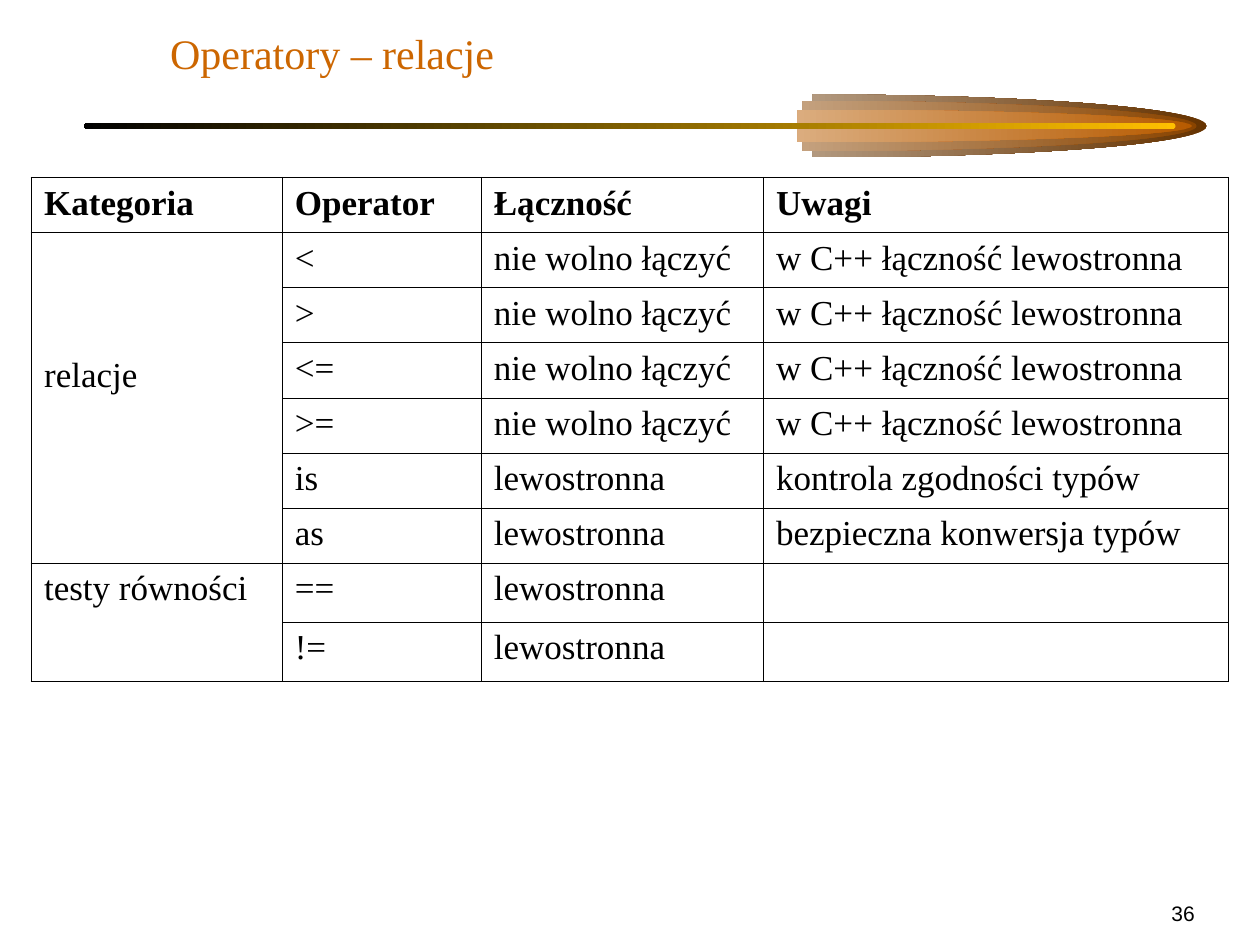
from lxml.etree import SubElement
from pptx import Presentation
from pptx.dml.color import RGBColor
from pptx.enum.shapes import MSO_SHAPE
from pptx.enum.text import MSO_ANCHOR, MSO_AUTO_SIZE, PP_ALIGN
from pptx.oxml.ns import qn
from pptx.util import Inches, Pt

COLORS = {
    "title": "CC6600",
    "text": "000000",
    "bar_start": "000000",
    "bar_end": "FFBF00",
    "comet_tail": "FFFFFF",
    "comet_outer": "663300",
    "comet_middle": "894400",
    "comet_inner": "B75B00",
}
# Comet layers: left, height, color at the tip
COMET_LAYERS = [
    (3.32, 0.50, "comet_outer"),
    (3.24, 0.40, "comet_middle"),
    (3.20, 0.26, "comet_inner"),
]
COMET_WIDTH = 6.26
AXIS_Y = 1.0
BAR_HEIGHT = 0.05

HEADER = ["Kategoria", "Operator", "Łączność", "Uwagi"]
NO_CHAINING = ("nie wolno łączyć", "w C++ łączność lewostronna")
LEFT = "lewostronna"
CATEGORIES = {
    "relacje": [
        *[(operator, *NO_CHAINING) for operator in ("<", ">", "<=", ">=")],
        ("is", LEFT, "kontrola zgodności typów"),
        ("as", LEFT, "bezpieczna konwersja typów"),
    ],
    "testy równości": [("==", LEFT, ""), ("!=", LEFT, "")],
}
COLUMN_WIDTHS = [1.99, 1.58, 2.24, 3.69]
ROW_HEIGHTS = [3.06 / 7] * 7 + [0.47] * 2


class SlideBuilder:
    serif = "Times New Roman"
    sans = "Arial"
    outer_border = Pt(1.08)
    inner_border = Pt(0.45)

    def __init__(self, slide):
        self.slide = slide

    def style(self, paragraph, size, font, color="text", bold=False):
        paragraph.font.size = Pt(size)
        paragraph.font.name = font
        paragraph.font.bold = bold
        paragraph.font.color.rgb = RGBColor.from_string(COLORS[color])

    def gradient_shape(self, kind, left, width, height, start, end, adjustments):
        """Add a shape centered on the axis, shaded from left to right."""
        shape = self.slide.shapes.add_shape(
            kind, Inches(left), Inches(AXIS_Y - height / 2), Inches(width), Inches(height)
        )
        for index, value in enumerate(adjustments):
            shape.adjustments[index] = value
        shape.shadow.inherit = False
        shape.line.fill.background()
        shape.fill.gradient()
        shape.fill.gradient_angle = 180
        for stop, color in zip(shape.fill.gradient_stops, (end, start)):
            stop.color.rgb = RGBColor.from_string(COLORS[color])

    def comet_layer(self, left, height, color):
        """Add the right half of an ellipse: an arc from 270 to 90 degrees."""
        self.gradient_shape(
            MSO_SHAPE.ARC, left, COMET_WIDTH, height, "comet_tail", color, (162, 54)
        )

    def bar(self, left, width):
        self.gradient_shape(
            MSO_SHAPE.ROUNDED_RECTANGLE, left, width, BAR_HEIGHT,
            "bar_start", "bar_end", (0.5,),
        )

    def title(self, text, left, top, width, height):
        title = self.slide.shapes.title
        title.left, title.top = Inches(left), Inches(top)
        title.width, title.height = Inches(width), Inches(height)
        frame = title.text_frame
        frame.text = text
        frame.auto_size = MSO_AUTO_SIZE.NONE
        frame.vertical_anchor = MSO_ANCHOR.BOTTOM
        frame.paragraphs[0].alignment = PP_ALIGN.LEFT
        self.style(frame.paragraphs[0], 24, self.serif, "title")

    def page_number(self, text, left, top, width, height):
        box = self.slide.shapes.add_textbox(
            Inches(left), Inches(top), Inches(width), Inches(height)
        )
        frame = box.text_frame
        frame.word_wrap = True
        frame.vertical_anchor = MSO_ANCHOR.MIDDLE
        frame.text = text
        frame.paragraphs[0].alignment = PP_ALIGN.RIGHT
        self.style(frame.paragraphs[0], 12, self.sans)

    def borders(self, cell, outer_sides):
        properties = cell._tc.get_or_add_tcPr()
        for index, side in enumerate("LRTB"):
            width = self.outer_border if side in outer_sides else self.inner_border
            line = SubElement(properties, qn(f"a:ln{side}"), w=str(width))
            fill = SubElement(line, qn("a:solidFill"))
            SubElement(fill, qn("a:srgbClr"), val=COLORS["text"])
            properties.insert(index, line)

    def operator_table(self, left, top):
        row_count, column_count = len(ROW_HEIGHTS), len(COLUMN_WIDTHS)
        table = self.slide.shapes.add_table(
            row_count, column_count, Inches(left), Inches(top),
            Inches(sum(COLUMN_WIDTHS)), Inches(sum(ROW_HEIGHTS)),
        ).table
        table.first_row = table.horz_banding = False
        for column, width in zip(table.columns, COLUMN_WIDTHS):
            column.width = Inches(width)
        for row, height in zip(table.rows, ROW_HEIGHTS):
            row.height = Inches(height)

        rows = [HEADER]
        for category, operators in CATEGORIES.items():
            first = len(rows)
            rows += [
                (category if index == 0 else "", *operator)
                for index, operator in enumerate(operators)
            ]
            table.cell(first, 0).merge(table.cell(len(rows) - 1, 0))

        for r, texts in enumerate(rows):
            for c, text in enumerate(texts):
                cell = table.cell(r, c)
                cell.text = text
                self.style(cell.text_frame.paragraphs[0], 20, self.serif, bold=r == 0)
                cell.fill.background()
                last_row = r + cell.span_height - 1 if cell.is_merge_origin else r
                at_edge = {
                    "L": c == 0, "R": c == column_count - 1,
                    "T": r == 0, "B": last_row == row_count - 1,
                }
                self.borders(cell, [side for side, is_outer in at_edge.items() if is_outer])
        table.cell(1, 0).margin_top = Inches(0.98)


def main():
    presentation = Presentation()
    presentation.slide_width, presentation.slide_height = Inches(10), Inches(7.5)
    builder = SlideBuilder(presentation.slides.add_slide(presentation.slide_layouts[5]))
    for layer in COMET_LAYERS:
        builder.comet_layer(*layer)
    builder.bar(0.67, 8.66)
    builder.title("Operatory – relacje", 1.25, 0.17, 8.5, 0.5)
    builder.operator_table(0.25, 1.41)
    builder.page_number("36", 8.5, 7.08, 1.08, 0.33)
    presentation.save("out.pptx")


if __name__ == "__main__":
    main()
